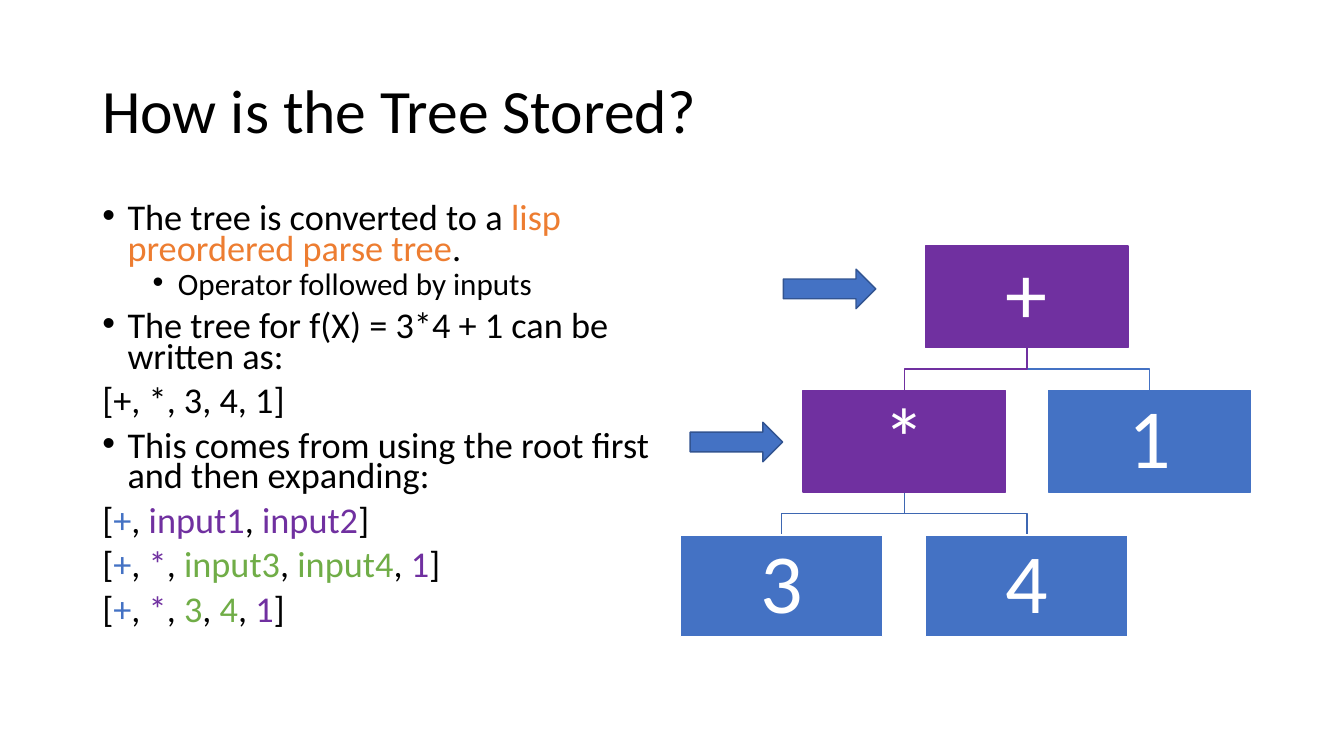
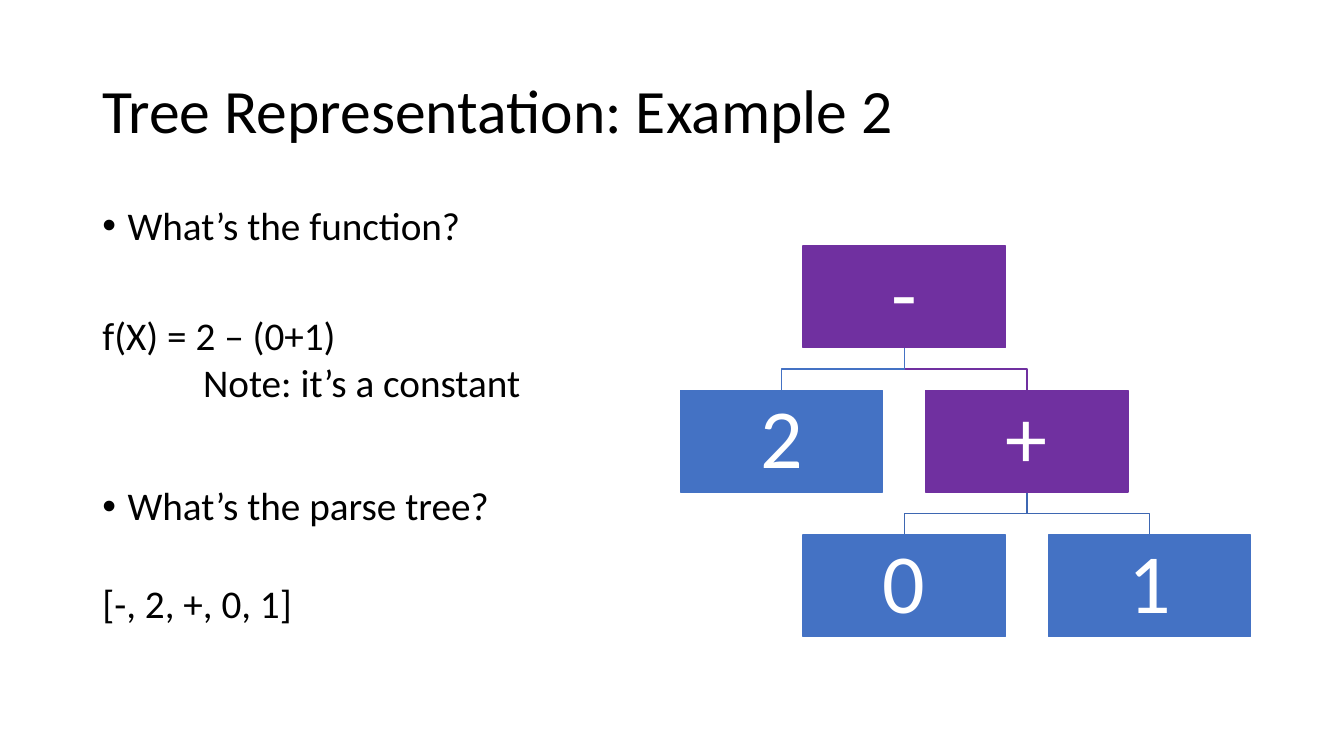
from lxml import etree
from pptx import Presentation
from pptx.dml.color import RGBColor
from pptx.enum.shapes import MSO_SHAPE
from pptx.enum.text import MSO_ANCHOR, PP_ALIGN
from pptx.oxml.ns import qn
from pptx.util import Inches, Pt

RECTANGLE = MSO_SHAPE.RECTANGLE
RIGHT_ARROW = MSO_SHAPE.RIGHT_ARROW
TOP = MSO_ANCHOR.TOP
MIDDLE = MSO_ANCHOR.MIDDLE
CENTER = PP_ALIGN.CENTER

BLACK = RGBColor(0x00, 0x00, 0x00)
WHITE = RGBColor(0xFF, 0xFF, 0xFF)
BLUE = RGBColor(0x44, 0x72, 0xC4)
EDGE_BLUE = RGBColor(0x3E, 0x67, 0xB2)
ARROW_BLUE = RGBColor(0x32, 0x54, 0x91)
PURPLE = RGBColor(0x70, 0x30, 0xA0)
GREEN = RGBColor(0x70, 0xAD, 0x47)
ORANGE = RGBColor(0xED, 0x7D, 0x31)
FONT = "Calibri"

presentation = Presentation()
presentation.slide_width = Inches(13.33)
presentation.slide_height = Inches(7.5)
UNIT = presentation.slide_width / 16

MARGIN = 1.1
TITLE_BOX = (MARGIN, 0.48, 13.8, 1.74)
BODY_BOX = (MARGIN, 2.4, 6.8, 5.71)
TREE_LEFT, TREE_TOP = 8.1, 2.93
COLUMN, ROW = 1.46, 1.72
NODE_WIDTH, NODE_HEIGHT = 2.41, 1.21
ARROW_WIDTH, ARROW_HEIGHT = 1.1, 0.47


def units(*lengths):
    return [round(length * UNIT) for length in lengths]


def add_text(slide, box, paragraphs, line_spacing=1.0, anchor=TOP):
    text_frame = slide.shapes.add_textbox(*units(*box)).text_frame
    text_frame.word_wrap = True
    text_frame.vertical_anchor = anchor
    for index, (runs, size, indent, bullet, space_before) in enumerate(paragraphs):
        paragraph = text_frame.paragraphs[0] if index == 0 else text_frame.add_paragraph()
        paragraph.line_spacing = line_spacing
        paragraph.space_before = Pt(space_before)
        properties = paragraph._p.get_or_add_pPr()
        properties.set("marL", str(Inches(indent)))
        if bullet:
            properties.set("indent", str(-Inches(0.25)))
            etree.SubElement(properties, qn("a:buFont")).set("typeface", "Arial")
            etree.SubElement(properties, qn("a:buChar")).set("char", "•")
        for text, color in runs:
            run = paragraph.add_run()
            run.text = text
            run.font.name = FONT
            run.font.size = Pt(size)
            run.font.color.rgb = color


expansions = [
    [("+", BLUE), ("input1", PURPLE), ("input2", PURPLE)],
    [("+", BLUE), ("*", PURPLE), ("input3", GREEN), ("input4", GREEN), ("1", PURPLE)],
    [("+", BLUE), ("*", PURPLE), ("3", GREEN), ("4", GREEN), ("1", PURPLE)],
]
stored_body = [
    ([("The tree is converted to a ", BLACK), ("lisp preordered parse tree", ORANGE),
      (".", BLACK)], 25.9, 0.25, True, 10),
    ([("Operator followed by inputs", BLACK)], 22.2, 0.75, True, 5),
    ([("The tree for f(X) = 3*4 + 1 can be written as:", BLACK)], 25.9, 0.25, True, 10),
    ([("[+, *, 3, 4, 1]", BLACK)], 25.9, 0, False, 10),
    ([("This comes from using the root first and then expanding:", BLACK)],
     25.9, 0.25, True, 10),
]
for expansion in expansions:
    runs = []
    for index, token in enumerate(expansion):
        runs += [(", " if index else "[", BLACK), token]
    stored_body.append((runs + [("]", BLACK)], 25.9, 0, False, 10))

example_body = [
    ([("What’s the function?", BLACK)], 28, 0.25, True, 10),
    ([("What’s the parse tree?", BLACK)], 28, 0.25, True, 170),
]
function_text = [
    ([("f(X) = 2 – (0+1)", BLACK)], 28, 0, False, 0),
    ([("Note: it’s a constant", BLACK)], 28, 1, False, 0),
]
parse_text = [([("[-, 2, +, 0, 1]", BLACK)], 28, 0, False, 0)]

# Node: symbol, column, row, parent column, fill, outline
stored_tree = [
    ("+", 2, 0, None, PURPLE, PURPLE),
    ("1", 3, 1, 2, BLUE, BLUE),
    ("*", 1, 1, 2, PURPLE, PURPLE),
    ("4", 2, 2, 1, BLUE, WHITE),
    ("3", 0, 2, 1, BLUE, WHITE),
]
example_tree = [
    ("-", 1, 0, None, PURPLE, PURPLE),
    ("+", 2, 1, 1, PURPLE, PURPLE),
    ("2", 0, 1, 1, BLUE, BLUE),
    ("1", 3, 2, 2, BLUE, BLUE),
    ("0", 1, 2, 2, BLUE, BLUE),
]
slides = [
    ("How is the Tree Stored?", stored_body, 0.7, stored_tree, [], [(0.84, 0.16), (0.08, 1.22)]),
    ("Tree Representation: Example 2", example_body, 0.9, example_tree,
     [((MARGIN, 3.65, 5.27, 1.25), function_text), ((MARGIN, 6.84, 3, 0.68), parse_text)], []),
]

for title, body, line_spacing, tree, answers, arrows in slides:
    slide = presentation.slides.add_slide(presentation.slide_layouts[6])
    add_text(slide, TITLE_BOX, [([(title, BLACK)], 44, 0, False, 0)], 0.9, MIDDLE)
    add_text(slide, BODY_BOX, body, line_spacing)

    for symbol, column, row, parent_column, fill, outline in tree:
        if parent_column is None:
            continue
        child_x = TREE_LEFT + column * COLUMN + NODE_WIDTH / 2
        parent_x = TREE_LEFT + parent_column * COLUMN + NODE_WIDTH / 2
        child_y = TREE_TOP + row * ROW
        parent_y = child_y - ROW + NODE_HEIGHT
        middle_y = (parent_y + child_y) / 2
        builder = slide.shapes.build_freeform(*units(parent_x, parent_y))
        corners = [(parent_x, middle_y), (child_x, middle_y), (child_x, child_y)]
        builder.add_line_segments([units(*corner) for corner in corners], close=False)
        edge = builder.convert_to_shape()
        edge.shadow.inherit = False
        edge.fill.background()
        edge.line.color.rgb = fill if row == 1 else EDGE_BLUE
        edge.line.width = Pt(1)

    for symbol, column, row, parent_column, fill, outline in tree:
        node = slide.shapes.add_shape(RECTANGLE, *units(
            TREE_LEFT + column * COLUMN, TREE_TOP + row * ROW, NODE_WIDTH, NODE_HEIGHT))
        node.shadow.inherit = False
        node.fill.solid()
        node.fill.fore_color.rgb = fill
        node.line.color.rgb = outline
        node.line.width = Pt(1)
        text_frame = node.text_frame
        text_frame.margin_left = text_frame.margin_right = Inches(0.04)
        text_frame.margin_top = text_frame.margin_bottom = Inches(0.04)
        text_frame.vertical_anchor = MIDDLE
        text_frame.text = symbol
        paragraph = text_frame.paragraphs[0]
        paragraph.alignment = CENTER
        paragraph.line_spacing = 0.9
        font = paragraph.runs[0].font
        font.name = FONT
        font.size = Pt(60)
        font.color.rgb = WHITE

    for column, row in arrows:
        arrow = slide.shapes.add_shape(RIGHT_ARROW, *units(
            TREE_LEFT + column * COLUMN, TREE_TOP + row * ROW, ARROW_WIDTH, ARROW_HEIGHT))
        arrow.shadow.inherit = False
        arrow.fill.solid()
        arrow.fill.fore_color.rgb = BLUE
        arrow.line.color.rgb = ARROW_BLUE
        arrow.line.width = Pt(1)

    for box, paragraphs in answers:
        add_text(slide, box, paragraphs)

presentation.save("out.pptx")
